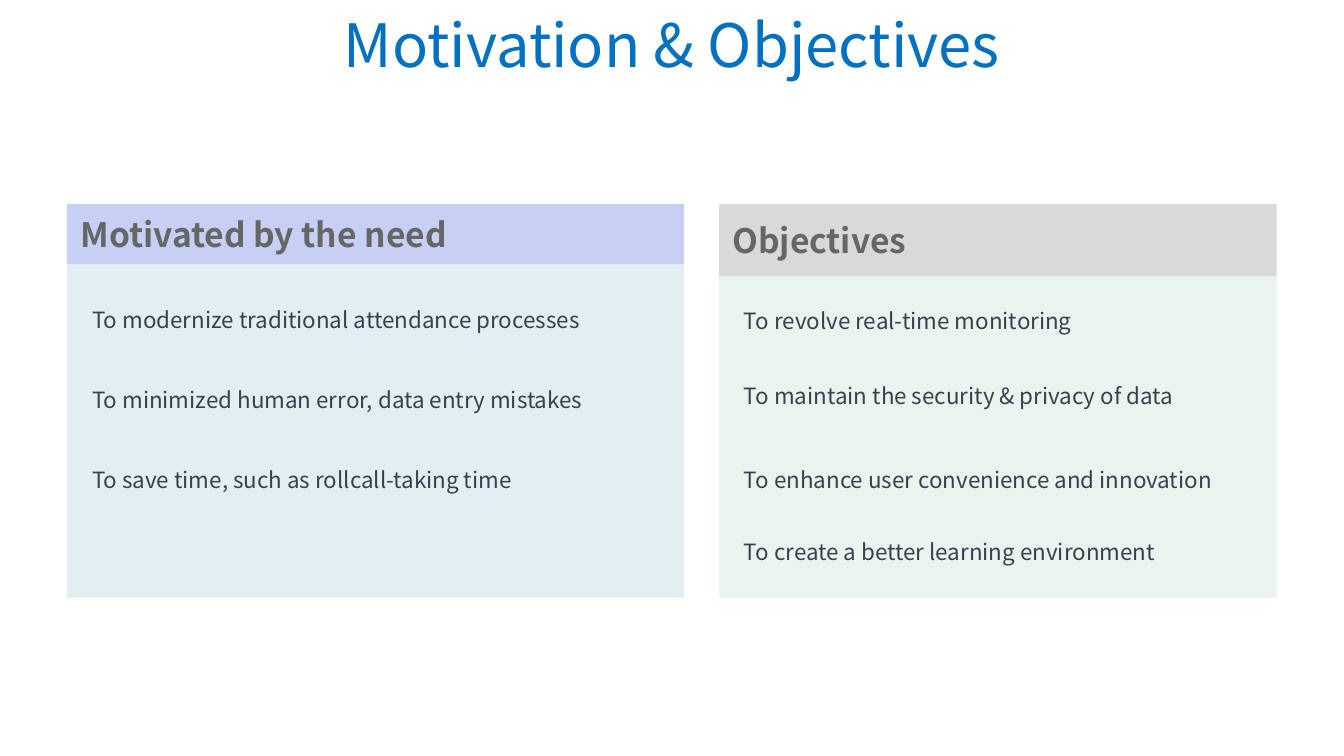
from pptx import Presentation
from pptx.dml.color import RGBColor
from pptx.enum.shapes import MSO_SHAPE
from pptx.enum.text import MSO_ANCHOR, PP_ALIGN
from pptx.oxml.ns import qn
from pptx.util import Cm, Pt
from lxml import etree

RECT = MSO_SHAPE.RECTANGLE
MIDDLE = MSO_ANCHOR.MIDDLE
LEFT, CENTER = PP_ALIGN.LEFT, PP_ALIGN.CENTER

FONT = "Noto Sans CJK JP"
BLUE = RGBColor(0x00, 0x70, 0xC0)
HEADING_GRAY = RGBColor(0x66, 0x66, 0x66)
TEXT_GRAY = RGBColor(0x37, 0x41, 0x51)
LAVENDER = RGBColor(0xC8, 0xCF, 0xF4)
LIGHT_GRAY = RGBColor(0xD9, 0xD9, 0xD9)
TEAL = RGBColor(0x27, 0x7D, 0xA1)
GREEN = RGBColor(0x66, 0xA4, 0x82)

# Content: each item is (top in cm, text)
TITLE = "Motivation & Objectives"
PANELS = [
    dict(heading="Motivated by the need", left=1.27, width=11.66,
         header_height=1.14, header_fill=LAVENDER, body_fill=TEAL,
         items=[(5.44, "To modernize traditional attendance processes"),
                (6.96, "To minimized human error, data entry mistakes"),
                (8.48, "To save time, such as rollcall-taking time")]),
    dict(heading="Objectives", left=13.59, width=10.54,
         header_height=1.36, header_fill=LIGHT_GRAY, body_fill=GREEN,
         items=[(5.46, "To revolve real-time monitoring"),
                (6.88, "To maintain the security & privacy of data"),
                (8.48, "To enhance user convenience and innovation"),
                (9.83, "To create a better learning environment")]),
]

# Layout in cm
PANEL_TOP, PANEL_BOTTOM = 3.86, 11.3
ITEM_INDENT, ITEM_HEIGHT = 0.22, 1.19
INSET = 0.25
BODY_OPACITY = 13  # percent


def write(shape, text, size, color, bold=False, align=LEFT):
    tf = shape.text_frame
    tf.word_wrap = True
    tf.vertical_anchor = MIDDLE
    tf.margin_left = tf.margin_right = Cm(INSET)
    tf.margin_top = tf.margin_bottom = Cm(INSET)
    p = tf.paragraphs[0]
    p.text = text
    p.alignment = align
    p.font.name = FONT
    p.font.size = Pt(size)
    p.font.bold = bold
    p.font.color.rgb = color


def add_rect(shapes, left, top, width, height, color, opacity=100):
    sp = shapes.add_shape(RECT, Cm(left), Cm(top), Cm(width), Cm(height))
    sp.shadow.inherit = False
    sp.line.fill.background()
    sp.fill.solid()
    sp.fill.fore_color.rgb = color
    if opacity < 100:
        clr = sp._element.spPr.find(qn("a:solidFill"))[0]
        etree.SubElement(clr, qn("a:alpha"), val=str(opacity * 1000))
    return sp


def add_panel(slide, panel):
    shapes = slide.shapes.add_group_shape().shapes
    left, width = panel["left"], panel["width"]
    body_top = PANEL_TOP + panel["header_height"]

    add_rect(shapes, left, body_top, width, PANEL_BOTTOM - body_top,
             panel["body_fill"], BODY_OPACITY)
    header = add_rect(shapes, left, PANEL_TOP, width, panel["header_height"],
                      panel["header_fill"])
    write(header, panel["heading"], 18, HEADING_GRAY, bold=True)

    for top, text in panel["items"]:
        box = shapes.add_textbox(Cm(left + ITEM_INDENT), Cm(top),
                                 Cm(width - ITEM_INDENT), Cm(ITEM_HEIGHT))
        write(box, text, 12, TEXT_GRAY)


def main():
    prs = Presentation()
    prs.slide_width, prs.slide_height = Cm(25.4), Cm(14.29)
    slide = prs.slides.add_slide(prs.slide_layouts[5])

    # Title
    title = slide.shapes.title
    title.left, title.top = Cm(0), Cm(0)
    title.width, title.height = prs.slide_width, Cm(1.65)
    write(title, TITLE, 32, BLUE, align=CENTER)

    # Two panels
    for panel in PANELS:
        add_panel(slide, panel)

    prs.save("out.pptx")


if __name__ == "__main__":
    main()
